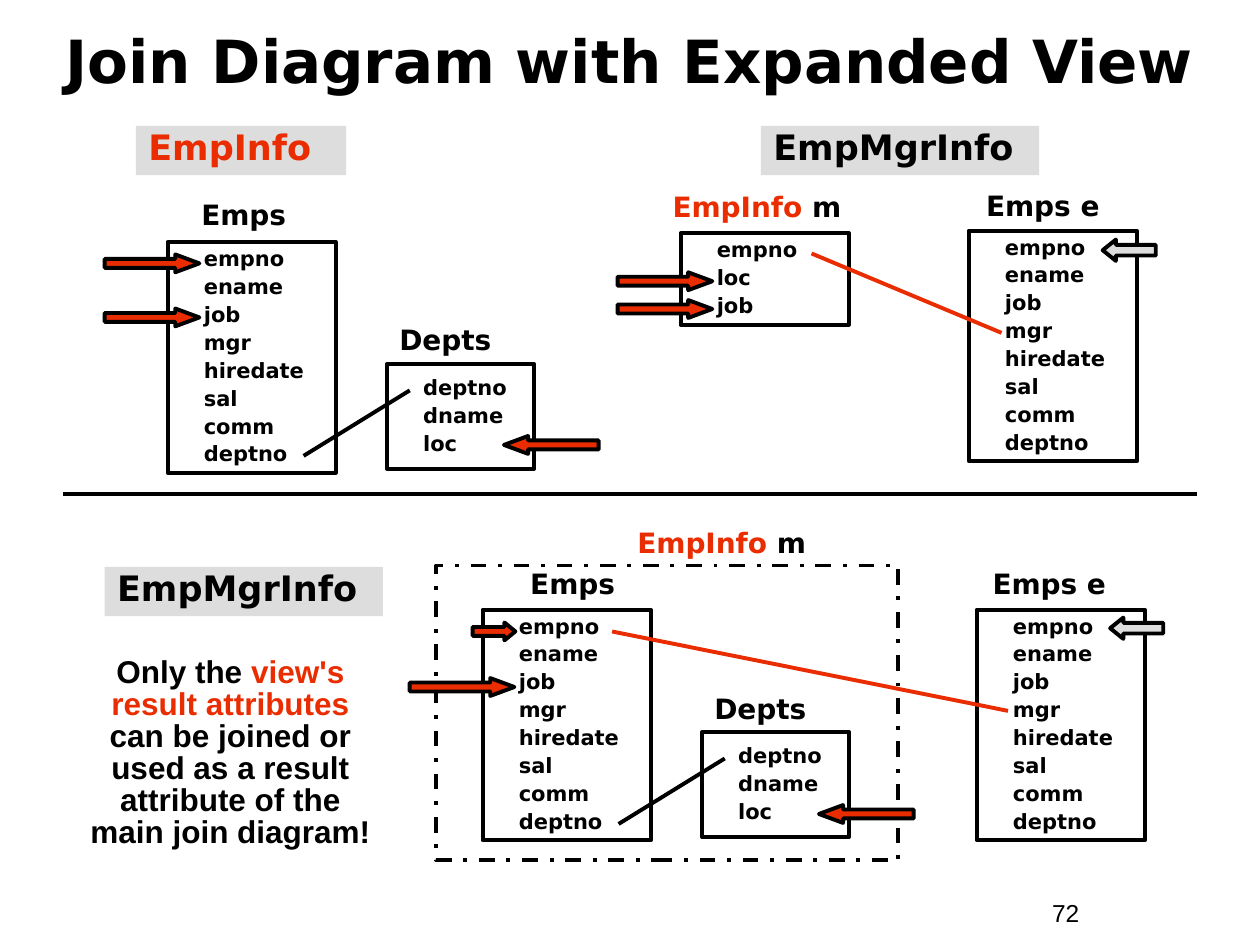
from dataclasses import dataclass

from pptx import Presentation
from pptx import util as u
from pptx.dml.color import RGBColor
from pptx.enum import dml, shapes, text
from pptx.oxml import parse_xml
from pptx.oxml.ns import nsdecls

BLACK, RED, GREY = "000000", "EA2D00", "DDDDDD"
SANS = "DejaVu Sans"
EMPLOYEE_FIELDS = ("empno", "ename", "job", "mgr", "hiredate", "sal", "comm", "deptno")
DEPARTMENT_FIELDS = ("deptno", "dname", "loc")
VIEW_FIELDS = ("empno", "loc", "job")


@dataclass(frozen=True)
class Frame:
    left: float
    top: float
    width: float
    height: float

    def lengths(self):
        return [u.Cm(value) for value in (self.left, self.top, self.width, self.height)]


@dataclass(frozen=True)
class Style:
    size: float
    spacing: float = 0.85
    font: str = SANS
    bold: bool = True
    align: text.PP_ALIGN = text.PP_ALIGN.LEFT
    anchor: text.MSO_ANCHOR = text.MSO_ANCHOR.TOP


@dataclass(frozen=True)
class Entity:
    frame: Frame
    fields: tuple


@dataclass(frozen=True)
class Label:
    frame: Frame
    spans: tuple
    style: Style
    fill: str = ""


@dataclass(frozen=True)
class Arrow:
    left: float
    top: float
    width: float = 1.91
    height: float = 0.36
    head: float = 1.35
    fill: str = RED
    points_left: bool = False


@dataclass(frozen=True)
class Link:
    start: tuple
    end: tuple
    color: str = BLACK


FIELD = Style(12, 0.9, anchor=text.MSO_ANCHOR.MIDDLE)
NAME = Style(16, 0.9)
VIEW_NAME = Style(16)
HEADING = Style(20)
TITLE = Style(34, align=text.PP_ALIGN.CENTER, anchor=text.MSO_ANCHOR.MIDDLE)
NOTE = Style(18, font="Arial", align=text.PP_ALIGN.CENTER)
NUMBER = Style(14, 1, "Arial", False)


def employees(left: float, top: float) -> Entity:
    return Entity(Frame(left, top, 3.39, 4.65), EMPLOYEE_FIELDS)


def departments(left: float, top: float) -> Entity:
    return Entity(Frame(left, top, 2.97, 2.11), DEPARTMENT_FIELDS)


def name_label(left: float, top: float, name: str) -> Label:
    return Label(Frame(left, top, 3.45, 0.86), ((name, BLACK),), NAME)


def view_label(left: float, top: float) -> Label:
    return Label(Frame(left, top, 4.88, 0.84), (("EmpInfo", RED), (" m", BLACK)), VIEW_NAME)


def heading(left: float, top: float, width: float, name: str, color: str = BLACK) -> Label:
    return Label(Frame(left, top, width, 0.99), ((name, color),), HEADING, GREY)


def result_arrow(left: float, top: float) -> Arrow:
    return Arrow(left, top, 1.07, 0.43, 0.62, GREY, True)


ENTITIES = (
    employees(3.38, 4.88), departments(7.8, 7.34), employees(19.53, 4.65),
    Entity(Frame(13.72, 4.7, 3.39, 1.85), VIEW_FIELDS),
    employees(9.73, 12.29), departments(14.15, 14.76), employees(19.69, 12.29),
)
LABELS = (
    Label(Frame(0.84, 0.36, 23.7, 1.91), (("Join Diagram with Expanded View", BLACK),), TITLE),
    heading(2.74, 2.54, 4.24, "EmpInfo", RED),
    heading(15.34, 2.54, 5.61, "EmpMgrInfo"),
    heading(2.11, 11.43, 5.61, "EmpMgrInfo"),
    name_label(3.81, 3.94, "Emps"), name_label(7.8, 6.45, "Depts"),
    view_label(13.31, 3.81), name_label(19.63, 3.76, "Emps e"),
    view_label(12.6, 10.57), name_label(10.44, 11.38, "Emps"),
    name_label(14.15, 13.89, "Depts"), name_label(19.76, 11.38, "Emps e"),
    Label(
        Frame(1.47, 13.13, 6.35, 4.14),
        (
            ("Only the ", BLACK),
            ("view's result attributes", RED),
            (" can be joined or used as a result attribute of the main join diagram!", BLACK),
        ),
        NOTE,
    ),
    Label(Frame(20.96, 17.98, 2.34, 0.86), (("72", BLACK),), NUMBER),
)
LINKS = (
    Link((6.12, 9.19), (8.26, 7.87)),
    Link((20.19, 6.71), (16.36, 5.11), RED),
    Link((1.27, 9.96), (24.13, 9.96)),
    Link((12.47, 16.61), (14.61, 15.29)),
    Link((20.32, 14.33), (12.34, 12.73), RED),
)
ARROWS = (
    Arrow(2.11, 5.13), Arrow(2.11, 6.22), Arrow(10.16, 8.79, points_left=True),
    Arrow(12.45, 5.49), Arrow(12.45, 6.05), result_arrow(22.23, 4.83),
    Arrow(9.53, 12.55, width=0.86, head=0.61), Arrow(8.26, 13.67, width=2.11),
    Arrow(16.51, 16.23, points_left=True), result_arrow(22.38, 12.45),
)


def paint(target, color: str) -> None:
    if hasattr(target, "solid"):
        target.solid()
        target = target.fore_color
    else:
        target = target.color
    target.rgb = RGBColor.from_string(color)


def style_paragraph(para, style: Style, color: str) -> None:
    para.alignment = style.align
    para.line_spacing = style.spacing
    para.font.size = u.Pt(style.size)
    para.font.name = style.font
    para.font.bold = style.bold
    paint(para.font, color)


def add_outline(page, kind, frame: Frame, fill: str = ""):
    box = page.shapes.add_shape(kind, *frame.lengths())
    box.shadow.inherit = False
    if fill:
        paint(box.fill, fill)
    else:
        box.fill.background()
    paint(box.line, BLACK)
    box.line.width = u.Pt(2.25)
    return box


def draw_entity(page, entity: Entity) -> None:
    box = add_outline(page, shapes.MSO_SHAPE.RECTANGLE, entity.frame)
    box.text_frame.word_wrap = True
    box.text_frame.vertical_anchor = FIELD.anchor
    box.text_frame.text = "\n".join(entity.fields)
    for index, para in enumerate(box.text_frame.paragraphs):
        para._p.get_or_add_pPr().set("marL", str(u.Cm(0.48)))
        style_paragraph(para, FIELD, BLACK)
        para.space_before = u.Pt(3 if index else 0)


def draw_label(page, label: Label) -> None:
    box = page.shapes.add_textbox(*label.frame.lengths())
    if label.fill:
        paint(box.fill, label.fill)
    box.text_frame.word_wrap = True
    box.text_frame.vertical_anchor = label.style.anchor
    para = box.text_frame.paragraphs[0]
    style_paragraph(para, label.style, label.spans[0][1])
    for wording, color in label.spans:
        span = para.add_run()
        span.text = wording
        if len(label.spans) > 1:
            paint(span.font, color)


def draw_link(page, link: Link) -> None:
    ends = [u.Cm(value) for value in link.start + link.end]
    line = page.shapes.add_connector(shapes.MSO_CONNECTOR.STRAIGHT, *ends)
    paint(line.line, link.color)
    line.line.width = u.Pt(2.25)
    line._element.spPr.append(parse_xml(f"<a:effectLst {nsdecls('a')}/>"))


def draw_arrow(page, arrow: Arrow) -> None:
    kind = shapes.MSO_SHAPE.LEFT_ARROW if arrow.points_left else shapes.MSO_SHAPE.RIGHT_ARROW
    frame = Frame(arrow.left, arrow.top, arrow.width, arrow.height)
    box = add_outline(page, kind, frame, arrow.fill)
    box.adjustments[1] = arrow.head


def main() -> None:
    """Build the join diagram slide and save it."""
    deck = Presentation()
    deck.slide_width, deck.slide_height = u.Cm(25.4), u.Cm(19.05)
    page = deck.slides.add_slide(deck.slide_layouts[6])
    view_border = add_outline(page, shapes.MSO_SHAPE.RECTANGLE, Frame(8.79, 11.4, 9.32, 5.94))
    view_border.line.dash_style = dml.MSO_LINE.DASH_DOT
    for draw, items in (
        (draw_entity, ENTITIES), (draw_label, LABELS), (draw_link, LINKS), (draw_arrow, ARROWS),
    ):
        for item in items:
            draw(page, item)
    deck.save("out.pptx")


if __name__ == "__main__":
    main()
